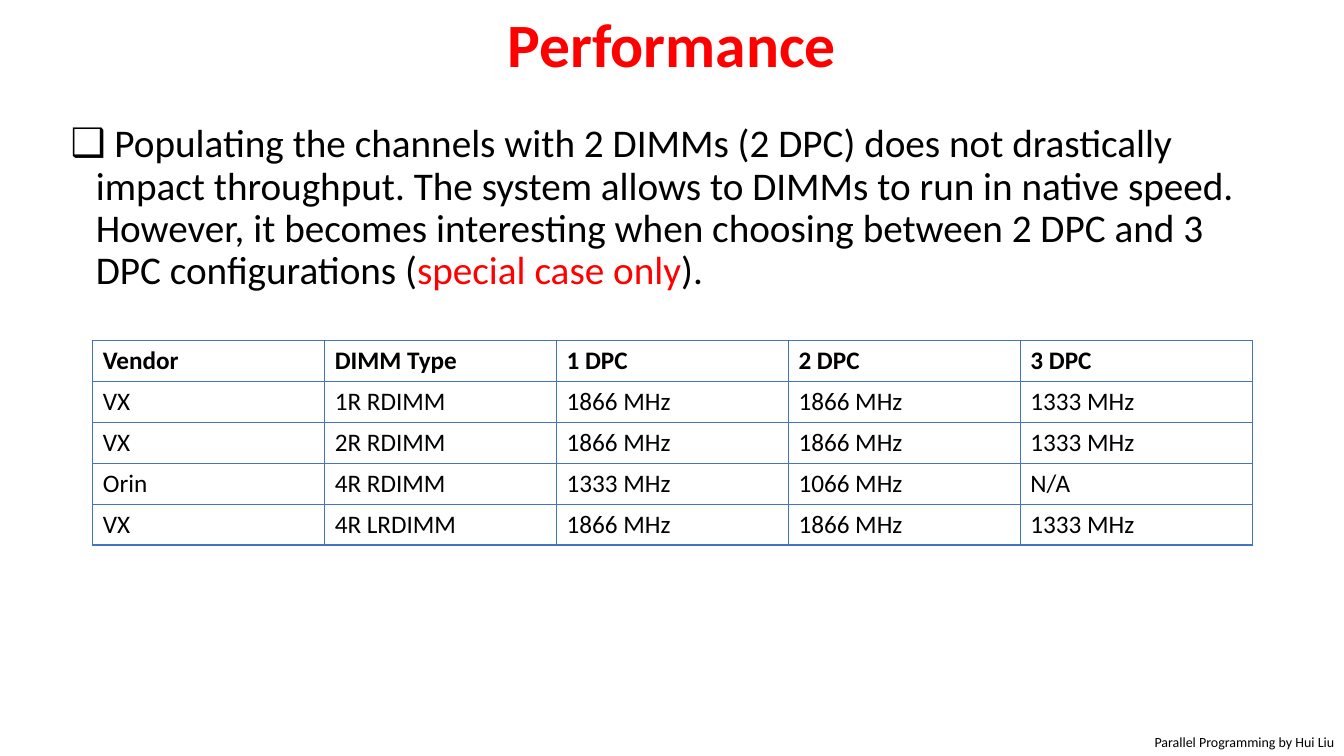
"""Build the memory performance slide with its DIMM speed table."""
from dataclasses import dataclass

from lxml import etree
from pptx import Presentation
from pptx.dml.color import RGBColor
from pptx.enum.text import MSO_ANCHOR, MSO_AUTO_SIZE, PP_ALIGN
from pptx.oxml.ns import qn
from pptx.util import Inches, Pt

CENTER, RIGHT = PP_ALIGN.CENTER, PP_ALIGN.RIGHT
MIDDLE, TOP = MSO_ANCHOR.MIDDLE, MSO_ANCHOR.TOP
NO_AUTOFIT = MSO_AUTO_SIZE.NONE


@dataclass(frozen=True)
class Theme:
    """Colours and type sizes of the slide."""
    font: str = "Calibri"
    ink: str = "000000"
    accent: str = "FF0000"
    rule: str = "4472C4"
    title: int = 44
    body: int = 28
    cell: int = 18
    footer: int = 10


theme = Theme()


def style(para, size, color, bold=False):
    """Set the font of a paragraph."""
    para.font.name = theme.font
    para.font.size = Pt(size)
    para.font.bold = bold
    para.font.color.rgb = RGBColor.from_string(color)


def place(shape, left, top, width, height):
    """Move and size a shape, in inches."""
    shape.left, shape.top = Inches(left), Inches(top)
    shape.width, shape.height = Inches(width), Inches(height)


deck = Presentation()
deck.slide_width, deck.slide_height = Inches(13.33), Inches(7.5)
page = deck.slides.add_slide(deck.slide_layouts[1])

title = page.shapes.title
place(title, 0.6, 0.11, 12.13, 0.73)
title.text_frame.auto_size = NO_AUTOFIT
title.text_frame.vertical_anchor = MIDDLE
para = title.text_frame.paragraphs[0]
para.text = "Performance"
para.alignment = CENTER
para.line_spacing = 0.9
style(para, theme.title, theme.accent, bold=True)

body = page.placeholders[1]
place(body, 0.6, 1.18, 12.13, 1.89)
body.text_frame.auto_size = NO_AUTOFIT
body.text_frame.vertical_anchor = TOP
para = body.text_frame.paragraphs[0]
para.line_spacing = 0.9
para.space_before = Pt(0)
properties = para._p.get_or_add_pPr()
properties.set("marL", str(Inches(0.25)))
properties.set("indent", str(-Inches(0.25)))
etree.SubElement(properties, qn("a:buChar"), char="❑")
style(para, theme.body, theme.ink)
for text, color in (
    (" Populating the channels with 2 DIMMs (2 DPC) does not drastically impact "
     "throughput. The system allows to DIMMs to run in native speed. However, it "
     "becomes interesting when choosing between 2 DPC and 3 DPC configurations (",
     theme.ink),
    ("special case only", theme.accent),
    (").", theme.ink),
):
    span = para.add_run()
    span.text = text
    span.font.color.rgb = RGBColor.from_string(color)

speeds = (
    ("Vendor", "DIMM Type", "1 DPC", "2 DPC", "3 DPC"),
    ("VX", "1R RDIMM", "1866 MHz", "1866 MHz", "1333 MHz"),
    ("VX", "2R RDIMM", "1866 MHz", "1866 MHz", "1333 MHz"),
    ("Orin", "4R RDIMM", "1333 MHz", "1066 MHz", "N/A"),
    ("VX", "4R LRDIMM", "1866 MHz", "1866 MHz", "1333 MHz"),
)
table = page.shapes.add_table(
    len(speeds), len(speeds[0]),
    Inches(0.92), Inches(3.38), Inches(11.5), Inches(2)).table
table.first_row = table.horz_banding = False
for row, values in enumerate(speeds):
    for column, value in enumerate(values):
        cell = table.cell(row, column)
        cell.vertical_anchor = MIDDLE
        para = cell.text_frame.paragraphs[0]
        para.text = value
        style(para, theme.cell, theme.ink, bold=row == 0)
        for side in ("a:lnL", "a:lnR", "a:lnT", "a:lnB"):
            border = etree.SubElement(
                cell._tc.get_or_add_tcPr(), qn(side), w=str(Pt(1)))
            fill = etree.SubElement(border, qn("a:solidFill"))
            etree.SubElement(fill, qn("a:srgbClr"), val=theme.rule)
        cell.fill.background()

footer = page.shapes.add_textbox(
    Inches(11.24), Inches(7.23), Inches(2.09), Inches(0.27))
footer.text_frame.word_wrap = True
para = footer.text_frame.paragraphs[0]
para.text = "Parallel Programming by Hui Liu"
para.alignment = RIGHT
style(para, theme.footer, theme.ink)

deck.save("out.pptx")
